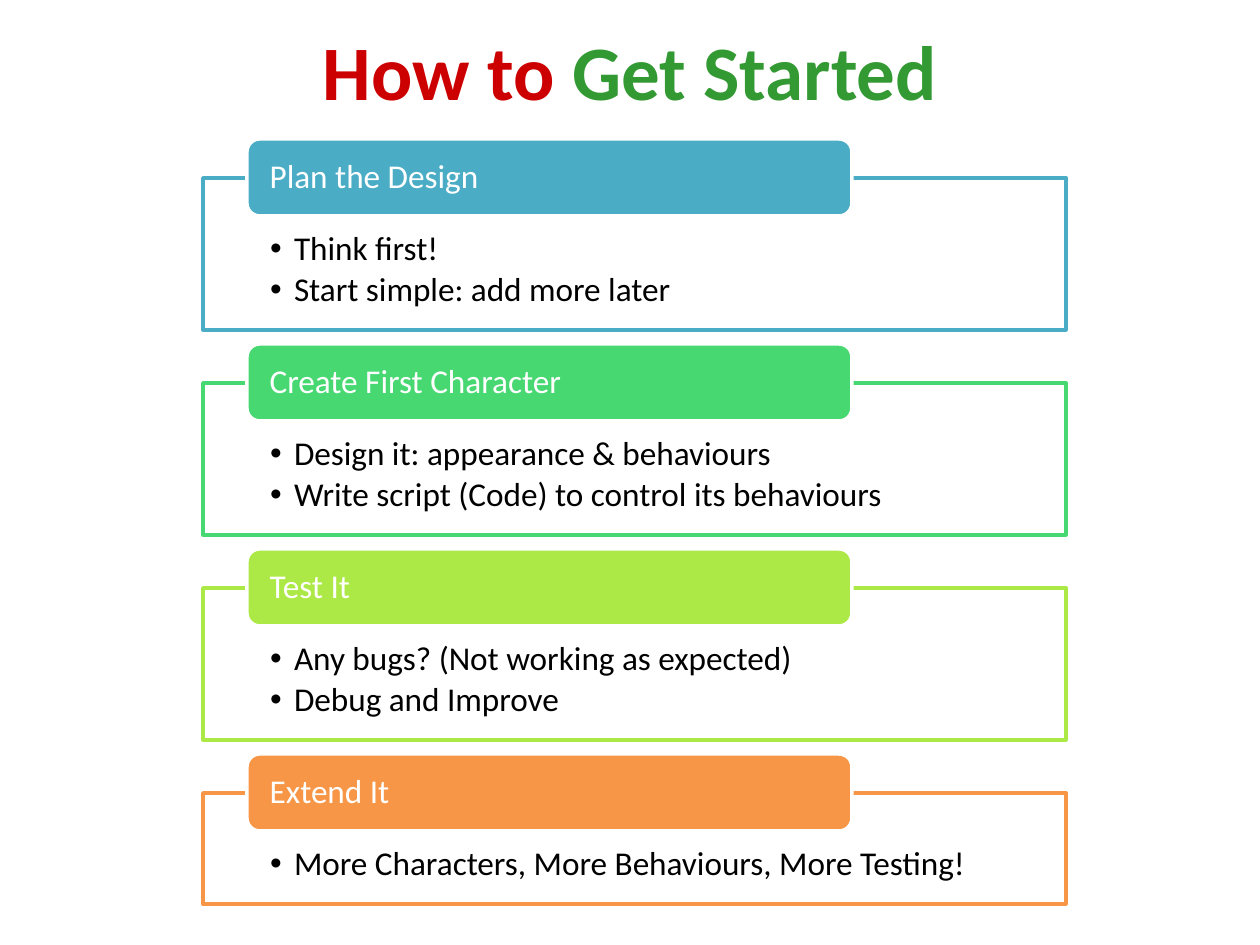
from lxml import etree
from pptx import Presentation
from pptx import util as u
from pptx.dml.color import RGBColor
from pptx.enum import shapes, text
from pptx.oxml import ns

SCALE = 914400 / 126


def px(length):
    return u.Emu(round(length * SCALE))


def colour(value):
    return RGBColor.from_string(value)


class Painter:
    font = "Calibri"
    size = 19
    line_width = 2

    def __init__(self, page):
        self.page = page

    def span(self, para, words, tint, size=None, bold=False):
        run = para.add_run()
        run.text = words
        run.font.name = self.font
        run.font.size = u.Pt(size or self.size)
        run.font.bold = bold
        run.font.color.rgb = colour(tint)

    def frame(self, box, anchor, left, top, right, bottom):
        frame = box.text_frame
        frame.word_wrap = True
        frame.vertical_anchor = anchor
        frame.margin_left, frame.margin_top = px(left), px(top)
        frame.margin_right, frame.margin_bottom = px(right), px(bottom)
        return frame

    def title(self, place, spans):
        box = self.page.shapes.title
        box.left, box.top, box.width, box.height = map(px, place)
        frame = self.frame(box, text.MSO_ANCHOR.MIDDLE, 12, 6, 12, 6)
        para = frame.paragraphs[0]
        para.alignment = text.PP_ALIGN.CENTER
        for words, tint in spans:
            self.span(para, words, tint, size=44, bold=True)

    def shape(self, kind, place, fill, line):
        box = self.page.shapes.add_shape(kind, *map(px, place))
        box.shadow.inherit = False
        box.fill.solid()
        box.fill.fore_color.rgb = colour(fill)
        box.line.color.rgb = colour(line)
        box.line.width = u.Pt(self.line_width)
        return box

    def panel(self, place, tint, items):
        box = self.shape(shapes.MSO_SHAPE.RECTANGLE, place, "FFFFFF", tint)
        fill = box._element.spPr.find(ns.qn("a:solidFill"))
        etree.SubElement(fill[0], ns.qn("a:alpha"), val="90000")
        frame = self.frame(box, text.MSO_ANCHOR.TOP, 67, 54, 67, 19)
        for index, item in enumerate(items):
            para = frame.add_paragraph() if index else frame.paragraphs[0]
            para.level = 1
            para.alignment = text.PP_ALIGN.LEFT
            para.line_spacing = 0.9
            para.space_after = u.Pt(3)
            self.bullet(para)
            self.span(para, item, "000000")

    def bullet(self, para):
        properties = para._p.get_or_add_pPr()
        properties.set("marL", str(px(24)))
        properties.set("indent", str(px(-24)))
        etree.SubElement(properties, ns.qn("a:buFont"), typeface="Arial")
        etree.SubElement(properties, ns.qn("a:buChar"), char="•")

    def heading(self, place, tint, words):
        box = self.shape(shapes.MSO_SHAPE.ROUNDED_RECTANGLE, place, tint, "FFFFFF")
        frame = self.frame(box, text.MSO_ANCHOR.MIDDLE, 19, 0, 19, 0)
        para = frame.paragraphs[0]
        para.alignment = text.PP_ALIGN.LEFT
        para.line_spacing = 0.9
        self.span(para, words, "FFFFFF")


STEPS = [
    ("Plan the Design", "4BACC6", ["Think first!", "Start simple: add more later"]),
    ("Create First Character", "47D872",
     ["Design it: appearance & behaviours",
      "Write script (Code) to control its behaviours"]),
    ("Test It", "ACE946", ["Any bugs? (Not working as expected)", "Debug and Improve"]),
    ("Extend It", "F79646", ["More Characters, More Behaviours, More Testing!"]),
]


def main():
    deck = Presentation()
    deck.slide_width, deck.slide_height = px(1260), px(945)
    page = deck.slides.add_slide(deck.slide_layouts[5])
    painter = Painter(page)
    painter.title((63, 6, 1134, 127), [("How to ", "CC0000"), ("Get Started", "339933")])

    top, gap, item_height = 178, 53, 41
    for name, tint, items in STEPS:
        height = 70 + item_height * len(items)
        painter.panel((203, top, 863, height), tint, items)
        painter.heading((247, top - 39, 605, 77), tint, name)
        top += height + gap

    deck.save("out.pptx")


if __name__ == "__main__":
    main()
